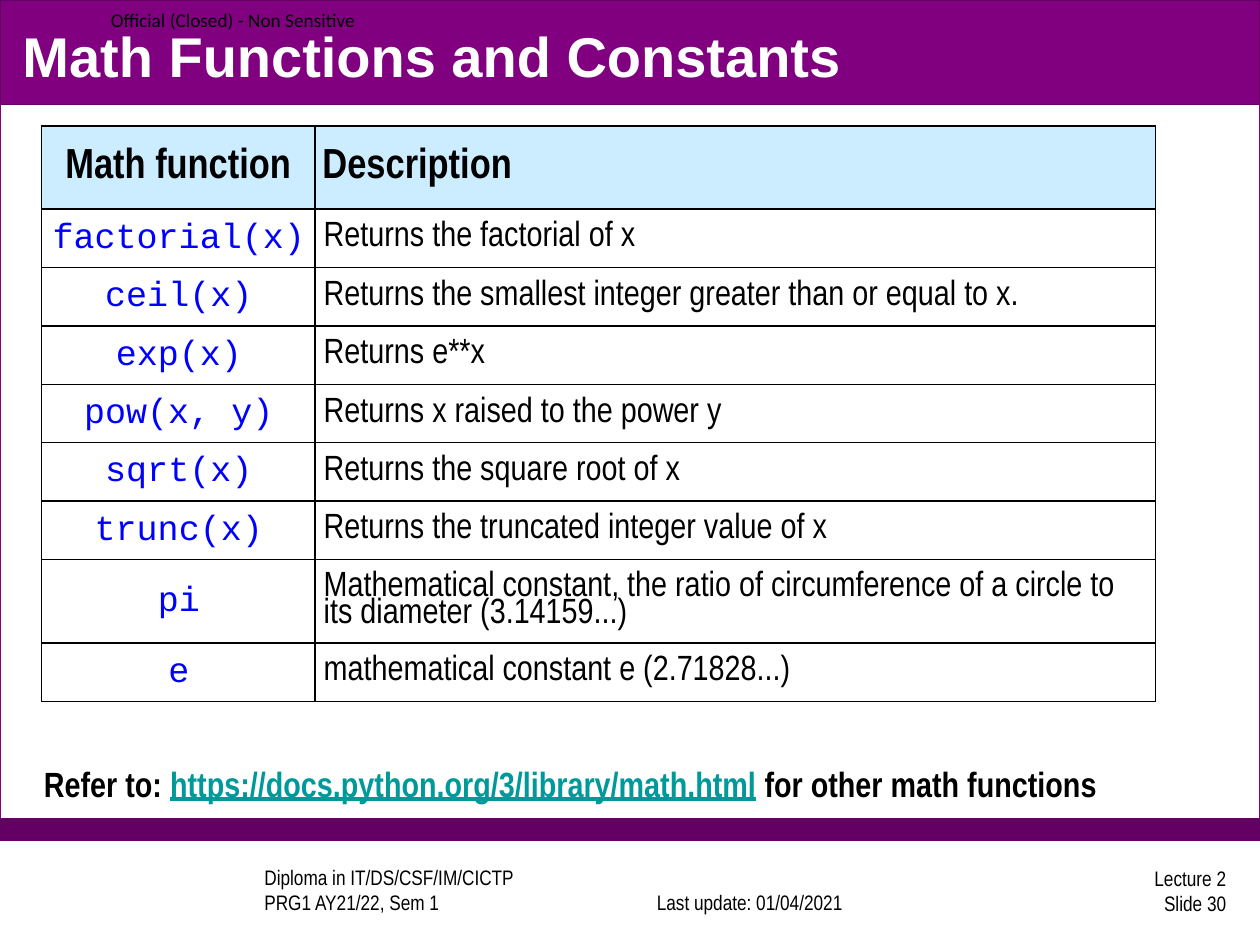
from dataclasses import dataclass

from lxml.etree import SubElement
from pptx import Presentation
from pptx.dml.color import RGBColor as RGB
from pptx.enum.shapes import MSO_SHAPE as SHAPE
from pptx.enum.text import MSO_ANCHOR as ANCHOR, PP_ALIGN as ALIGN
from pptx.oxml.ns import qn
from pptx.util import Inches, Pt


@dataclass(frozen=True)
class Theme:
    purple: str = "800080"
    dark: str = "640064"
    white: str = "FFFFFF"
    black: str = "000000"
    header: str = "CCECFF"
    code: str = "0000FF"
    link: str = "009999"
    heading_font: str = "Arial"
    body_font: str = "Arial Narrow"
    code_font: str = "Courier New"
    label_font: str = "Calibri"
    title_size: int = 32
    header_size: int = 24
    body_size: int = 20
    footer_size: int = 12
    label_size: int = 11


class SlideBuilder:
    def __init__(self, slide, theme):
        self.s = slide
        self.t = theme

    def style(self, p, size, font=None, color=None, bold=False, align=ALIGN.LEFT):
        p.alignment = align
        p.font.size = Pt(size)
        p.font.name = font or self.t.body_font
        p.font.bold = bold
        p.font.color.rgb = RGB.from_string(color or self.t.black)

    def band(self, top, height, fill, line):
        sp = self.s.shapes.add_shape(
            SHAPE.RECTANGLE, 0, Inches(top), Inches(10), Inches(height))
        sp.shadow.inherit = False
        sp.fill.solid()
        sp.fill.fore_color.rgb = RGB.from_string(fill)
        sp.line.color.rgb = RGB.from_string(line)
        sp.line.width = Pt(0.75)

    def text(self, box, text, size, anchor=ANCHOR.MIDDLE, inset=None, **style):
        sp = self.s.shapes.add_textbox(*map(Inches, box))
        tf = sp.text_frame
        tf.word_wrap = True
        tf.vertical_anchor = anchor
        if inset is not None:
            tf.margin_left = tf.margin_right = Inches(inset)
            tf.margin_top = tf.margin_bottom = Inches(inset)
        p = tf.paragraphs[0]
        p.text = text
        self.style(p, size, **style)
        return p

    def link(self, p, address, tail):
        r = p.add_run()
        r.text = address
        r.font.underline = True
        r.font.color.rgb = RGB.from_string(self.t.link)
        p.add_run().text = tail

    def cell(self, cell, text, fill, insets, size, **style):
        cell.fill.solid()
        cell.fill.fore_color.rgb = RGB.from_string(fill)
        cell.vertical_anchor = ANCHOR.MIDDLE
        (cell.margin_left, cell.margin_top,
         cell.margin_right, cell.margin_bottom) = map(Inches, insets)
        p = cell.text_frame.paragraphs[0]
        p.text = text
        self.style(p, size, **style)
        self.borders(cell)
        return p

    def borders(self, cell):
        tc_pr = cell._tc.get_or_add_tcPr()
        for i, side in enumerate(("lnL", "lnR", "lnT", "lnB")):
            ln = tc_pr.makeelement(qn(f"a:{side}"), {"w": str(Pt(1))})
            fill = SubElement(ln, qn("a:solidFill"))
            SubElement(fill, qn("a:srgbClr"), val=self.t.black)
            tc_pr.insert(i, ln)

    def table(self, box, widths, header_height, row_height, header, rows):
        t = self.t
        table = self.s.shapes.add_table(
            len(rows) + 1, len(widths), *map(Inches, box)).table
        for column, width in zip(table.columns, widths):
            column.width = Inches(width)
        for i, row in enumerate(table.rows):
            row.height = Inches(row_height if i else header_height)

        for j, (text, align) in enumerate(zip(header, (ALIGN.CENTER, ALIGN.JUSTIFY))):
            self.cell(table.cell(0, j), text, t.header, (0.06, 0, 0.06, 0),
                      t.header_size, bold=True, align=align)

        insets = (0.07, 0.07, 0.06, 0.06)
        for i, (name, description) in enumerate(rows, 1):
            self.cell(table.cell(i, 0), name, t.white, insets, t.body_size,
                      font=t.code_font, color=t.code, align=ALIGN.CENTER)
            p = self.cell(table.cell(i, 1), description, t.white, insets, t.body_size)
            p.line_spacing = 0.8


HEADER = ("Math function", "Description")
FUNCTIONS = [
    ("factorial(x)", "Returns the factorial of x"),
    ("ceil(x)", "Returns the smallest integer greater than or equal to x."),
    ("exp(x)", "Returns e**x"),
    ("pow(x, y)", "Returns x raised to the power y"),
    ("sqrt(x)", "Returns the square root of x"),
    ("trunc(x)", "Returns the truncated integer value of x"),
    ("pi", "Mathematical constant, the ratio of circumference of a circle to "
           "its diameter (3.14159...)"),
    ("e", "mathematical constant e (2.71828...)"),
]


def main():
    prs = Presentation()
    prs.slide_width, prs.slide_height = Inches(10), Inches(7.5)
    t = Theme()
    b = SlideBuilder(prs.slides.add_slide(prs.slide_layouts[6]), t)

    # Page frame and bands
    b.band(0, 6.67, t.white, t.purple)
    b.band(6.5, 0.17, t.dark, t.dark)
    b.band(0, 0.83, t.purple, t.dark)

    # Footer
    b.text((2, 6.89, 2.67, 0.42), "Diploma in IT/DS/CSF/IM/CICTP\vPRG1 AY21/22, Sem 1",
           t.footer_size, anchor=ANCHOR.BOTTOM)
    b.text((4.91, 6.89, 2.08, 0.42), "Last update: 01/04/2021",
           t.footer_size, anchor=ANCHOR.BOTTOM, align=ALIGN.CENTER)
    b.text((7.75, 6.86, 2.08, 0.42), "Lecture 2\vSlide 30",
           t.footer_size, align=ALIGN.RIGHT)

    # Classification label and title
    b.text((0.88, 0, 2.13, 0.31), "Official (Closed) - Non Sensitive",
           t.label_size, inset=0, font=t.label_font)
    b.text((0.08, 0.13, 9.83, 0.62), "Math Functions and Constants",
           t.title_size, font=t.heading_font, color=t.white, bold=True)

    # Function table
    b.table((0.33, 1, 8.83, 4.72), (2.17, 6.67), 0.66, 0.37, HEADER, FUNCTIONS)

    # Reference line
    p = b.text((0.25, 6, 8.92, 0.44), "Refer to: ", t.body_size,
               anchor=ANCHOR.TOP, bold=True)
    b.link(p, "https://docs.python.org/3/library/math.html", " for other math functions")

    prs.save("out.pptx")


if __name__ == "__main__":
    main()
